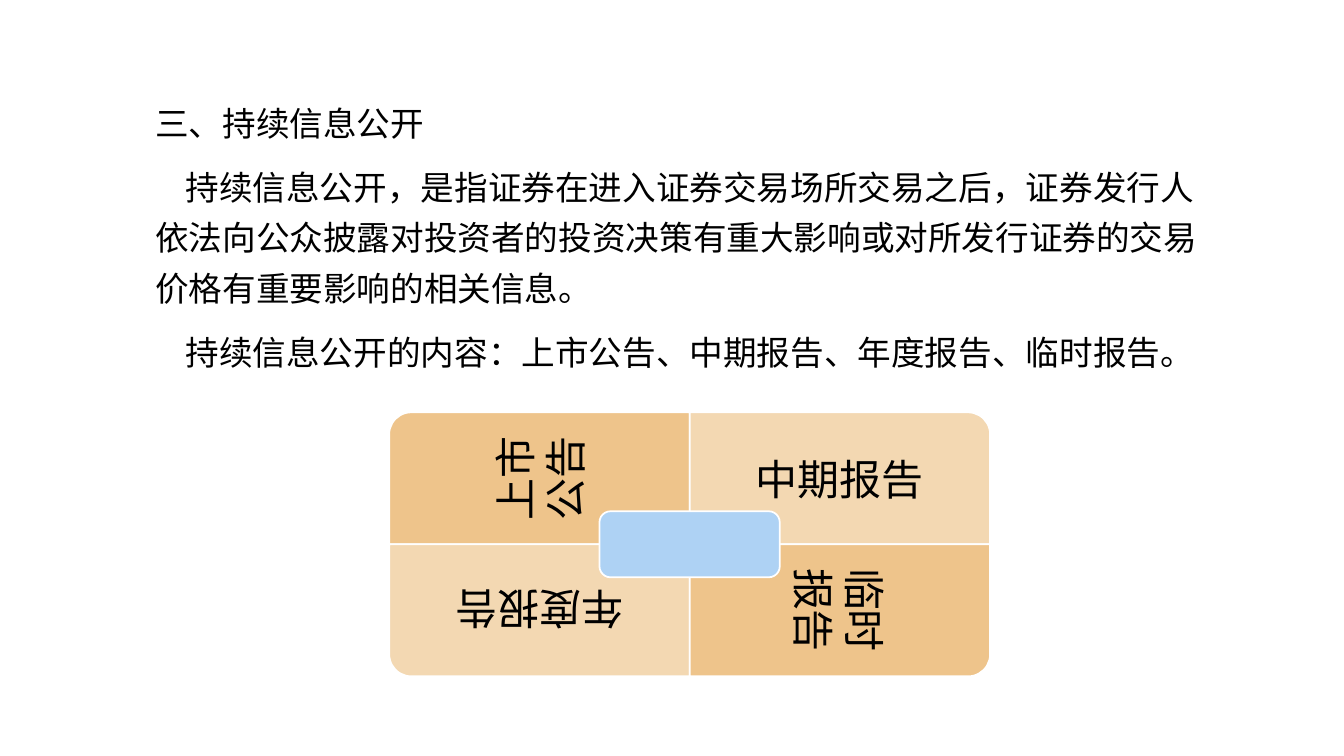
from pptx import Presentation
from pptx.dml.color import RGBColor
from pptx.enum.shapes import MSO_SHAPE
from pptx.enum.text import MSO_ANCHOR, MSO_AUTO_SIZE, PP_ALIGN
from pptx.oxml.ns import qn
from pptx.util import Inches, Pt
from lxml.etree import SubElement

COLUMNS, ROWS = 1333, 750
COLORS = {"text": "000000", "edge": "FFFFFF", "amber": "EEC48B",
          "sand": "F3D8B2", "core": "AED2F4"}
BODY_FONT, DIAGRAM_FONT = "Noto Sans CJK SC", "Cabin"

HEADING = "三、持续信息公开"
EXPLANATIONS = [
    "持续信息公开，是指证券在进入证券交易场所交易之后，证券发行人依法向公众披露"
    "对投资者的投资决策有重大影响或对所发行证券的交易价格有重要影响的相关信息。",
    "持续信息公开的内容：上市公告、中期报告、年度报告、临时报告。",
]
# Label, column side, row side, rotation, fill
QUARTERS = [
    ("上市公告", -1, -1, 270, "amber"),
    ("中期报告", 1, -1, 0, "sand"),
    ("年度报告", -1, 1, 180, "sand"),
    ("临时报告", 1, 1, 90, "amber"),
]
CENTER_COL, CENTER_ROW = 684, 540
QUARTER_COLS, QUARTER_ROWS = 298, 131


class SlideBuilder:
    def __init__(self):
        self.deck = Presentation()
        self.deck.slide_width, self.deck.slide_height = Inches(13.33), Inches(7.5)
        self.slide = self.deck.slides.add_slide(self.deck.slide_layouts[1])
        title = self.slide.shapes.title
        title.element.getparent().remove(title.element)
        self.diagram = None

    def cols(self, count):
        return round(self.deck.slide_width * count / COLUMNS)

    def rows(self, count):
        return round(self.deck.slide_height * count / ROWS)

    def run(self, paragraph, words, font, size):
        run = paragraph.add_run()
        run.text = words
        run.font.name, run.font.size = font, Pt(size)
        run.font.color.rgb = RGBColor.from_string(COLORS["text"])
        SubElement(run.font._element, qn("a:ea")).set("typeface", font)

    def body(self, heading, explanations, left, top, width, height):
        body = self.slide.placeholders[1]
        body.left, body.top = self.cols(left), self.rows(top)
        body.width, body.height = self.cols(width), self.rows(height)
        frame = body.text_frame
        frame.auto_size = MSO_AUTO_SIZE.NONE
        frame.vertical_anchor = MSO_ANCHOR.MIDDLE
        for index, words in enumerate([heading, *explanations]):
            paragraph = frame.add_paragraph() if index else frame.paragraphs[0]
            paragraph.line_spacing, paragraph.space_before = Pt(36), Pt(10)
            properties = paragraph._p.get_or_add_pPr()
            properties.set("marL", "0")
            properties.set("indent", str(self.cols(30) if index else 0))
            SubElement(properties, qn("a:buNone"))
            self.run(paragraph, words, BODY_FONT, 24)

    def start_diagram(self):
        self.diagram = self.slide.shapes.add_group_shape()

    def block(self, kind, center_col, center_row, width, height, fill):
        block = self.diagram.shapes.add_shape(
            kind, self.cols(center_col - width / 2), self.rows(center_row - height / 2),
            self.cols(width), self.rows(height))
        block.shadow.inherit = False
        block.fill.solid()
        block.fill.fore_color.rgb = RGBColor.from_string(COLORS[fill])
        block.line.color.rgb = RGBColor.from_string(COLORS["edge"])
        block.line.width = Pt(1.25)
        return block

    def quarter(self, label, col_side, row_side, rotation, fill):
        """Add a quarter whose label and rounded outer corner turn together."""
        size = QUARTER_COLS, QUARTER_ROWS
        if rotation % 180:
            size = size[::-1]
        block = self.block(MSO_SHAPE.ROUND_1_RECTANGLE,
                           CENTER_COL + col_side * QUARTER_COLS / 2,
                           CENTER_ROW + row_side * QUARTER_ROWS / 2, *size, fill)
        block.rotation = rotation
        frame = block.text_frame
        frame.word_wrap = True
        frame.vertical_anchor = MSO_ANCHOR.MIDDLE
        # The rounded corner already narrows the text area on the right.
        frame.margin_left, frame.margin_right = self.cols(20), self.cols(14)
        paragraph = frame.paragraphs[0]
        paragraph.alignment = PP_ALIGN.CENTER
        self.run(paragraph, label, DIAGRAM_FONT, 30)

    def core(self):
        self.block(MSO_SHAPE.ROUNDED_RECTANGLE, CENTER_COL, CENTER_ROW,
                   QUARTER_COLS * 0.6, QUARTER_ROWS * 0.5, "core")


def main():
    builder = SlideBuilder()
    builder.body(HEADING, EXPLANATIONS, 144, 42, 1080, 377)
    builder.start_diagram()
    for quarter in QUARTERS:
        builder.quarter(*quarter)
    builder.core()
    builder.deck.save("out.pptx")


if __name__ == "__main__":
    main()
